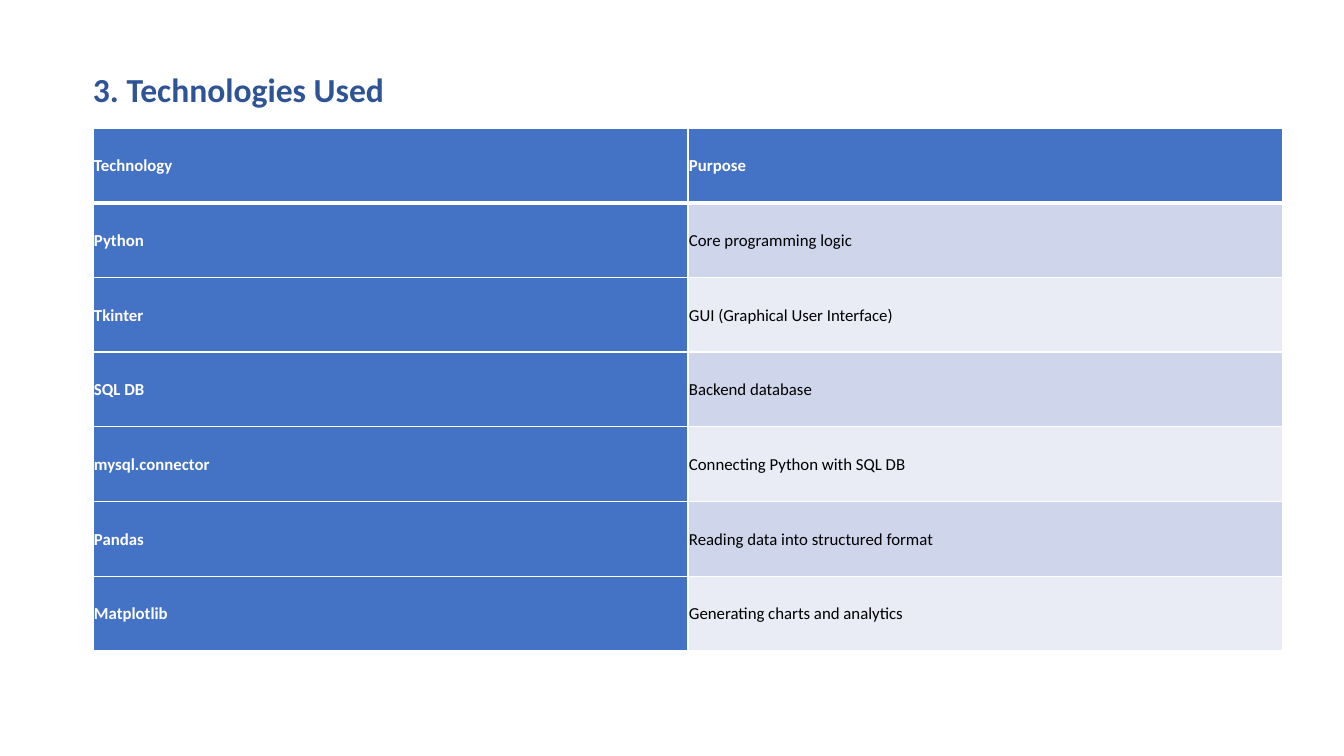
from lxml import etree
from pptx import Presentation
from pptx.dml.color import RGBColor
from pptx.enum.text import MSO_ANCHOR
from pptx.oxml.ns import qn
from pptx.util import Pt

EMU_PER_PX = 914400 / 100.8
TOP, MIDDLE = MSO_ANCHOR.TOP, MSO_ANCHOR.MIDDLE
BLANK_LAYOUT = 6

WHITE, BLACK = "FFFFFF", "000000"
TITLE_BLUE, TABLE_BLUE = "2F5496", "4472C4"
BANDS = ("CFD5EA", "E9EBF5")

TECHNOLOGIES = [
    ("Technology", "Purpose"),
    ("Python", "Core programming logic"),
    ("Tkinter", "GUI (Graphical User Interface)"),
    ("SQL DB", "Backend database"),
    ("mysql.connector", "Connecting Python with SQL DB"),
    ("Pandas", "Reading data into structured format"),
    ("Matplotlib", "Generating charts and analytics"),
]


def px(length):
    return round(length * EMU_PER_PX)


def color(hex_string):
    return RGBColor.from_string(hex_string)


def apply(target, values):
    for name, value in values.items():
        setattr(target, name, value)


class TechnologySlide:
    font_name = "Calibri"
    cell_spacing = {"line_spacing": 1.07, "space_before": Pt(8), "space_after": Pt(4)}

    def __init__(self, deck):
        self.page = deck.slides.add_slide(deck.slide_layouts[BLANK_LAYOUT])

    def add_text(self, frame, text, size, hex_string, bold, spacing):
        para = frame.paragraphs[0]
        apply(para, spacing)
        span = para.add_run()
        span.text = text
        apply(span.font, {"name": self.font_name, "size": Pt(size), "bold": bold})
        span.font.color.rgb = color(hex_string)

    def title(self, text, left, top, width, height):
        box = self.page.shapes.add_textbox(px(left), px(top), px(width), px(height))
        frame = box.text_frame
        apply(frame, {"word_wrap": True, "vertical_anchor": TOP,
                      "margin_left": px(10), "margin_top": px(11),
                      "margin_right": px(10), "margin_bottom": px(6)})
        self.add_text(frame, text, 24, TITLE_BLUE, True, {})

    def borders(self, cell, widths):
        properties = cell._tc.get_or_add_tcPr()
        for side, points in widths.items():
            line = etree.SubElement(properties, qn(f"a:ln{side}"), w=str(Pt(points)))
            fill = etree.SubElement(line, qn("a:solidFill"))
            etree.SubElement(fill, qn("a:srgbClr"), val=WHITE)

    def table(self, rows, left, top, width, height):
        columns = len(rows[0])
        table = self.page.shapes.add_table(
            len(rows), columns, px(left), px(top), px(width), px(height)).table
        table.first_col = True
        for column in table.columns:
            column.width = px(width / columns)
        for r, texts in enumerate(rows):
            table.rows[r].height = px(height / len(rows))
            for c, text in enumerate(texts):
                heading = r == 0 or c == 0
                cell = table.cell(r, c)
                apply(cell, {"vertical_anchor": MIDDLE,
                             "margin_left": px(1), "margin_top": px(1),
                             "margin_right": px(1), "margin_bottom": px(1)})
                # Thick rule between the header and the body
                self.borders(cell, {"L": 1, "R": 1, "T": 3 if r == 1 else 1,
                                    "B": 3 if r == 0 else 1})
                cell.fill.solid()
                cell.fill.fore_color.rgb = color(
                    TABLE_BLUE if heading else BANDS[(r - 1) % 2])
                self.add_text(cell.text_frame, text, 12, WHITE if heading else BLACK,
                              heading, self.cell_spacing)


def main():
    deck = Presentation()
    apply(deck, {"slide_width": px(1344), "slide_height": px(756)})
    slide = TechnologySlide(deck)
    # Technology table
    slide.table(TECHNOLOGIES, 93, 128, 1190, 523)
    # Section title
    slide.title("3. Technologies Used", 83, 58, 1261, 89)
    deck.save("out.pptx")


if __name__ == "__main__":
    main()
